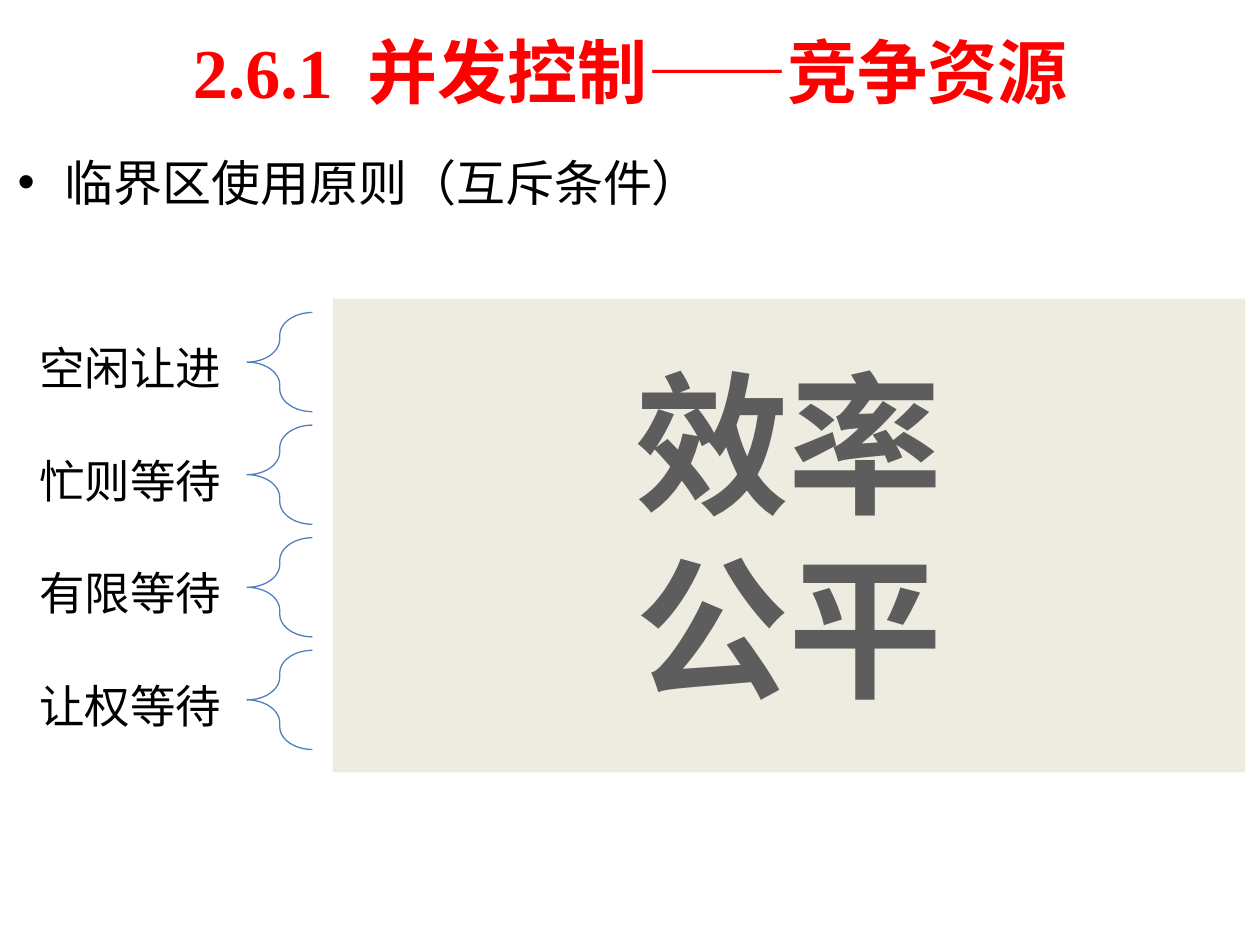
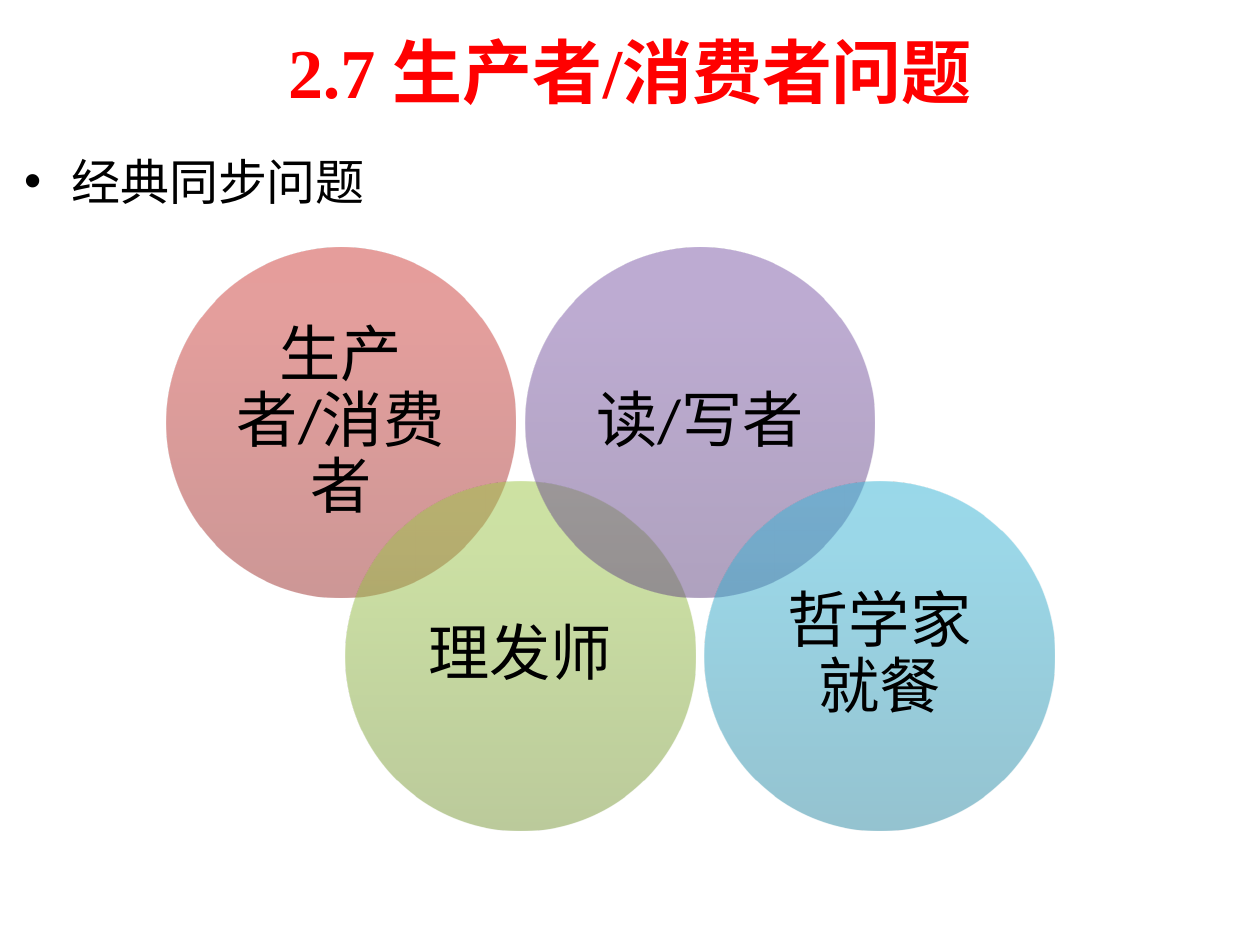
from dataclasses import dataclass

from lxml.etree import SubElement
from pptx import Presentation
from pptx.dml.color import RGBColor
from pptx.enum.shapes import MSO_SHAPE as Preset
from pptx.enum.text import MSO_ANCHOR as Anchor, PP_ALIGN as Align
from pptx.oxml.ns import qn
from pptx.shapes.autoshape import Shape
from pptx.slide import Slide
from pptx.util import Cm, Pt

COLOURS = {
    "title": "FF0000",
    "text": "000000",
    "brace": "4F81BD",
    "panel": "EEECE1",
    "panel_text": "5D5D5D",
}
FONTS = {
    "title": {"name": "Times New Roman", "size": Pt(40), "bold": True},
    "body": {"name": "Times New Roman", "size": Pt(28)},
    "label": {"name": "Calibri", "size": Pt(26)},
    "circle": {"name": "Calibri", "size": Pt(35)},
    "panel": {"name": "Arial", "size": Pt(88), "bold": True},
}
GRADIENT_POSITIONS = (0, 80, 100)


@dataclass(frozen=True)
class Box:
    left: float
    top: float
    width: float
    height: float

    def lengths(self) -> tuple[Cm, Cm, Cm, Cm]:
        return Cm(self.left), Cm(self.top), Cm(self.width), Cm(self.height)


@dataclass(frozen=True)
class Heading:
    number: str
    title: str
    bullet: str
    body_box: Box
    number_gap: int = 0


@dataclass(frozen=True)
class Circle:
    text: str
    gradient: tuple[str, str, str]


TITLE_BOX = Box(1.27, 0.13, 22.86, 2.59)
PANEL_BOX = Box(6.71, 6.02, 18.39, 9.55)
PRINCIPLES = ("空闲让进", "忙则等待", "有限等待", "让权等待")
PRINCIPLE_PITCH = 2.27
GOALS = ("效率", "公平")
CIRCLES = (
    Circle("生产者/消费者", ("9C2F2D", "CB3E3A", "CE3B37")),
    Circle("理发师", ("779737", "9BC348", "9DC746")),
    Circle("读/写者", ("5F4480", "7B58A6", "7C57A8")),
    Circle("哲学家就餐", ("2A88A2", "37B1D2", "34B4D6")),
)
CIRCLE_DIAMETER = 7.04
CIRCLE_STEP = (3.62, 4.7)

COMPETITION = Heading("2.6.1", "并发控制——竞争资源", "临界区使用原则（互斥条件）",
                      Box(0.1, 2.95, 25.3, 12.57), number_gap=10)
CLASSICS = Heading("2.7", "生产者/消费者问题", "经典同步问题",
                   Box(0.23, 2.92, 22.86, 12.57))


def place(shape: Shape, box: Box) -> None:
    for name, value in zip(("left", "top", "width", "height"), box.lengths()):
        setattr(shape, name, value)


def write(shape: Shape, lines: tuple[str, ...], font: str, colour: str = "text",
          **paragraph_format) -> None:
    frame = shape.text_frame
    frame.word_wrap = True
    for index, line in enumerate(lines):
        paragraph = frame.add_paragraph() if index else frame.paragraphs[0]
        for name, value in paragraph_format.items():
            setattr(paragraph, name, value)
        run = paragraph.add_run()
        run.text = line
        for name, value in FONTS[font].items():
            setattr(run.font, name, value)
        run.font.color.rgb = RGBColor.from_string(COLOURS[colour])


def set_frame(shape: Shape, horizontal: float, vertical: float, anchor: Anchor) -> None:
    """Set the text margins, in centimetres, and the vertical anchor."""
    frame = shape.text_frame
    frame.margin_left = frame.margin_right = Cm(horizontal)
    frame.margin_top = frame.margin_bottom = Cm(vertical)
    frame.vertical_anchor = anchor


def add_plain_shape(slide: Slide, preset: Preset, box: Box) -> Shape:
    """Add a preset shape without shadow, fill or line."""
    shape = slide.shapes.add_shape(preset, *box.lengths())
    shape.shadow.inherit = False
    shape.fill.background()
    shape.line.fill.background()
    return shape


def fill_with_gradient(shape: Shape, colours: tuple[str, ...]) -> None:
    """Fill with a half-transparent gradient that runs from bottom to top."""
    shape.fill.gradient()
    gradient = shape._element.spPr.find(qn("a:gradFill"))
    stops = gradient.find(qn("a:gsLst"))
    for stop in list(stops):
        stops.remove(stop)
    for position, colour in zip(GRADIENT_POSITIONS, colours):
        stop = SubElement(stops, qn("a:gs"), pos=str(position * 1000))
        value = SubElement(stop, qn("a:srgbClr"), val=colour)
        SubElement(value, qn("a:alpha"), val="50000")
    gradient.find(qn("a:lin")).set("ang", str(270 * 60000))


def add_headed_slide(presentation: Presentation, heading: Heading) -> Slide:
    slide = presentation.slides.add_slide(presentation.slide_layouts[1])
    title, body = slide.shapes.title, slide.placeholders[1]
    place(title, TITLE_BOX)
    title.text_frame.vertical_anchor = Anchor.MIDDLE
    for part in (heading.number, " ", heading.title):
        write(title, (part,), "title", "title", alignment=Align.CENTER)
    gap_run = title.text_frame.paragraphs[0].runs[1]
    gap_run.font._element.set("spc", str(heading.number_gap * 100))
    place(body, heading.body_box)
    write(body, (heading.bullet,), "body", space_before=Pt(0))
    return slide


def add_principle(slide: Slide, text: str, row: int) -> None:
    offset = row * PRINCIPLE_PITCH
    label = slide.shapes.add_textbox(*Box(0.2, 6.38 + offset, 4.78, 1.83).lengths())
    set_frame(label, 0.51, 0.18, Anchor.MIDDLE)
    write(label, (text,), "label", alignment=Align.RIGHT, line_spacing=1.2)
    brace = add_plain_shape(slide, Preset.LEFT_BRACE, Box(4.98, 6.3 + offset, 1.32, 2))
    brace.adjustments[0] = 0.35
    brace.line.color.rgb = RGBColor.from_string(COLOURS["brace"])
    brace.line.width = Pt(0.75)


def add_goal_panel(slide: Slide) -> None:
    panel = add_plain_shape(slide, Preset.RECTANGLE, PANEL_BOX)
    panel.fill.solid()
    panel.fill.fore_color.rgb = RGBColor.from_string(COLOURS["panel"])
    set_frame(panel, 1.3, 1, Anchor.TOP)
    write(panel, GOALS, "panel", "panel_text", alignment=Align.CENTER)


def add_circle(slide: Slide, circle: Circle, index: int) -> None:
    across, down = CIRCLE_STEP
    box = Box(3.35 + index * across, 5 + index % 2 * down, CIRCLE_DIAMETER, CIRCLE_DIAMETER)
    shape = add_plain_shape(slide, Preset.OVAL, box)
    fill_with_gradient(shape, circle.gradient)
    set_frame(shape, 0.38, 0.38, Anchor.MIDDLE)
    write(shape, (circle.text,), "circle", alignment=Align.CENTER, line_spacing=0.9)


def main() -> None:
    presentation = Presentation()
    presentation.slide_width, presentation.slide_height = Cm(25.4), Cm(19.05)

    competition = add_headed_slide(presentation, COMPETITION)
    for row, principle in enumerate(PRINCIPLES):
        add_principle(competition, principle, row)
    add_goal_panel(competition)

    classics = add_headed_slide(presentation, CLASSICS)
    for index, circle in enumerate(CIRCLES):
        add_circle(classics, circle, index)

    presentation.save("out.pptx")


if __name__ == "__main__":
    main()
